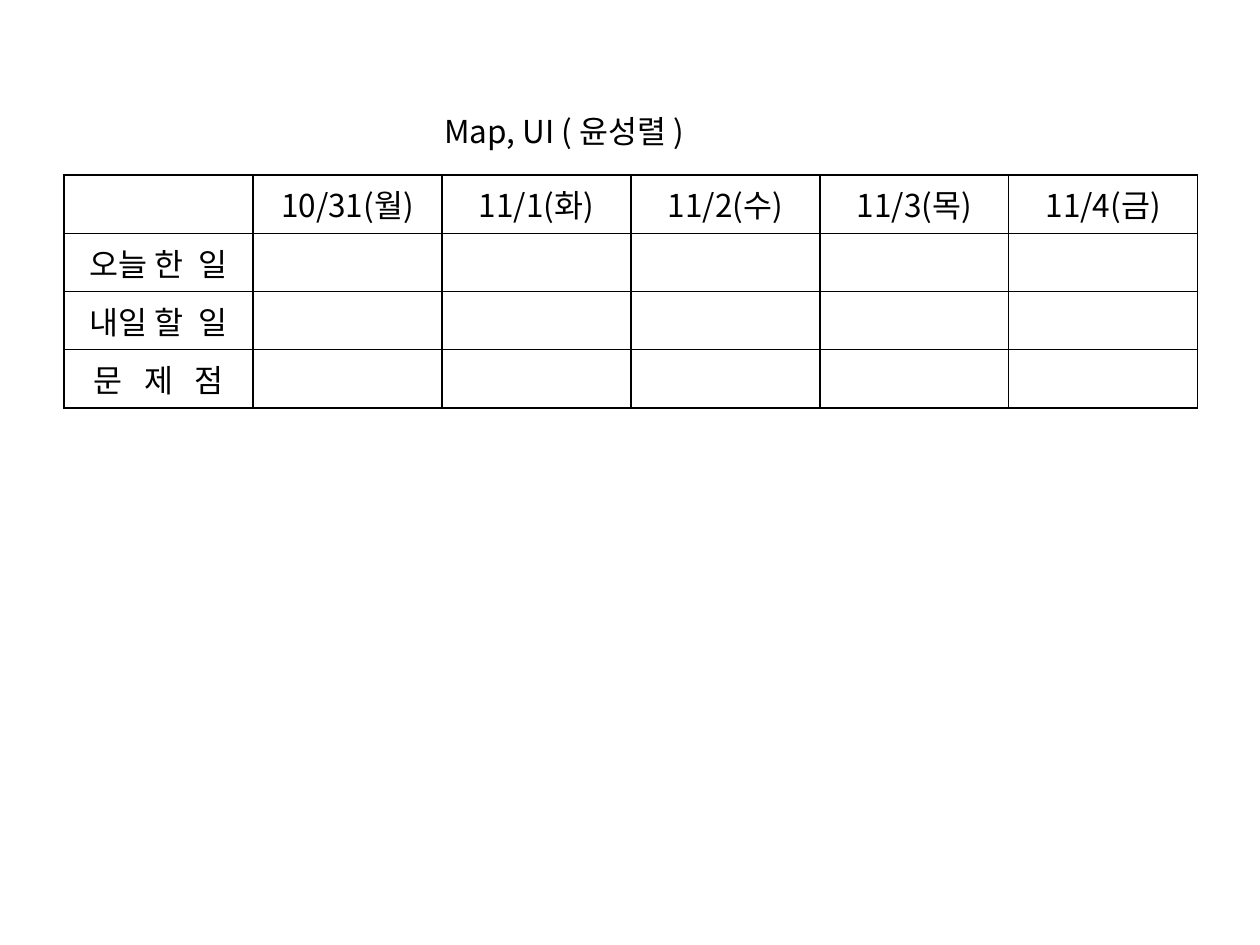
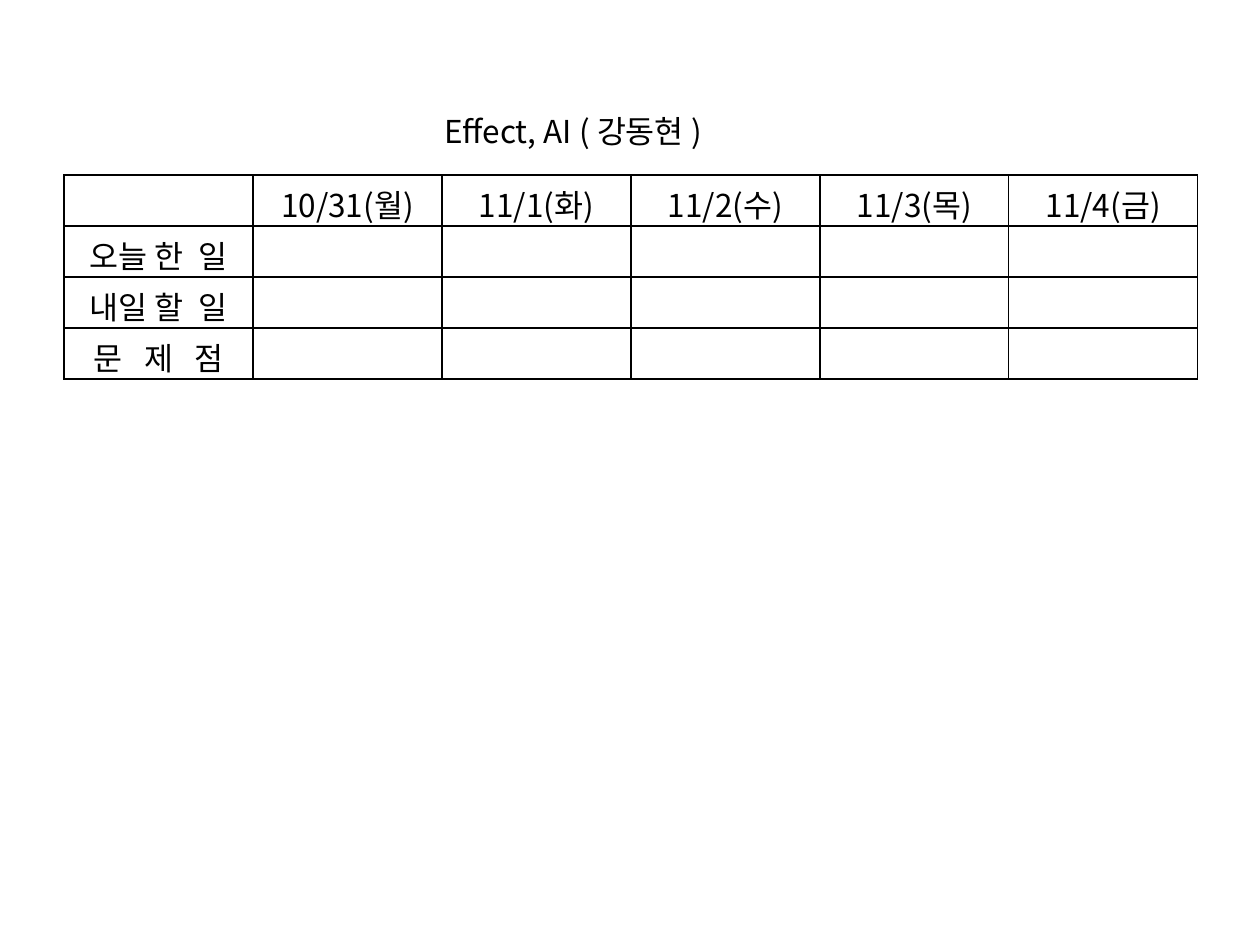
from lxml import etree
from pptx import Presentation, util as u
from pptx.dml.color import RGBColor
from pptx.enum import text
from pptx.oxml import ns

PX = u.Inches(1) // 126
FONT = "Noto Sans CJK KR"
INK = "000000"
LEFT, TOP, COL_W, ROW_H = 64, 175, 189, 51
DAYS = ["", "10/31(월)", "11/1(화)", "11/2(수)", "11/3(목)", "11/4(금)"]
TASKS = ["오늘 한  일", "내일 할  일", "문   제   점"]
PAGES = [("Map, UI ( 윤성렬 )", 289), ("Effect, AI ( 강동현 )", 302)]


def color(value):
    return RGBColor.from_string(value)


def write(tf, content, size=18, ink=INK, align=text.PP_ALIGN.LEFT):
    p = tf.paragraphs[0]
    p.alignment = align
    r = p.add_run()
    r.text = content
    r.font.size = u.Pt(size)
    r.font.name = FONT
    r.font.color.rgb = color(ink)
    etree.SubElement(r.font._element, ns.qn("a:ea"), typeface=FONT)


prs = Presentation()
prs.slide_width = 1260 * PX
prs.slide_height = 945 * PX
cells = [DAYS] + [[task] + [""] * (len(DAYS) - 1) for task in TASKS]

for title, title_w in PAGES:
    s = prs.slides.add_slide(prs.slide_layouts[6])
    rows, cols = len(cells), len(DAYS)
    table = s.shapes.add_table(rows, cols, LEFT * PX, TOP * PX,
                               cols * COL_W * PX, rows * ROW_H * PX).table
    table.first_row = table.horz_banding = False
    for column in table.columns:
        column.width = COL_W * PX
    for row, labels in zip(table.rows, cells):
        row.height = ROW_H * PX
        for cell, label in zip(row.cells, labels):
            tcPr = cell._tc.get_or_add_tcPr()
            for side in ("lnL", "lnR", "lnT", "lnB"):
                ln = etree.SubElement(tcPr, ns.qn("a:" + side), w=str(u.Pt(1)))
                fill = etree.SubElement(ln, ns.qn("a:solidFill"))
                etree.SubElement(fill, ns.qn("a:srgbClr"), val=INK)
            cell.fill.background()
            if label:
                write(cell.text_frame, label, align=text.PP_ALIGN.CENTER)

    sp = s.shapes.add_textbox(432 * PX, 106 * PX, title_w * PX, 50 * PX)
    tf = sp.text_frame
    tf.word_wrap = False
    tf.auto_size = text.MSO_AUTO_SIZE.SHAPE_TO_FIT_TEXT
    write(tf, title)

prs.save("out.pptx")
